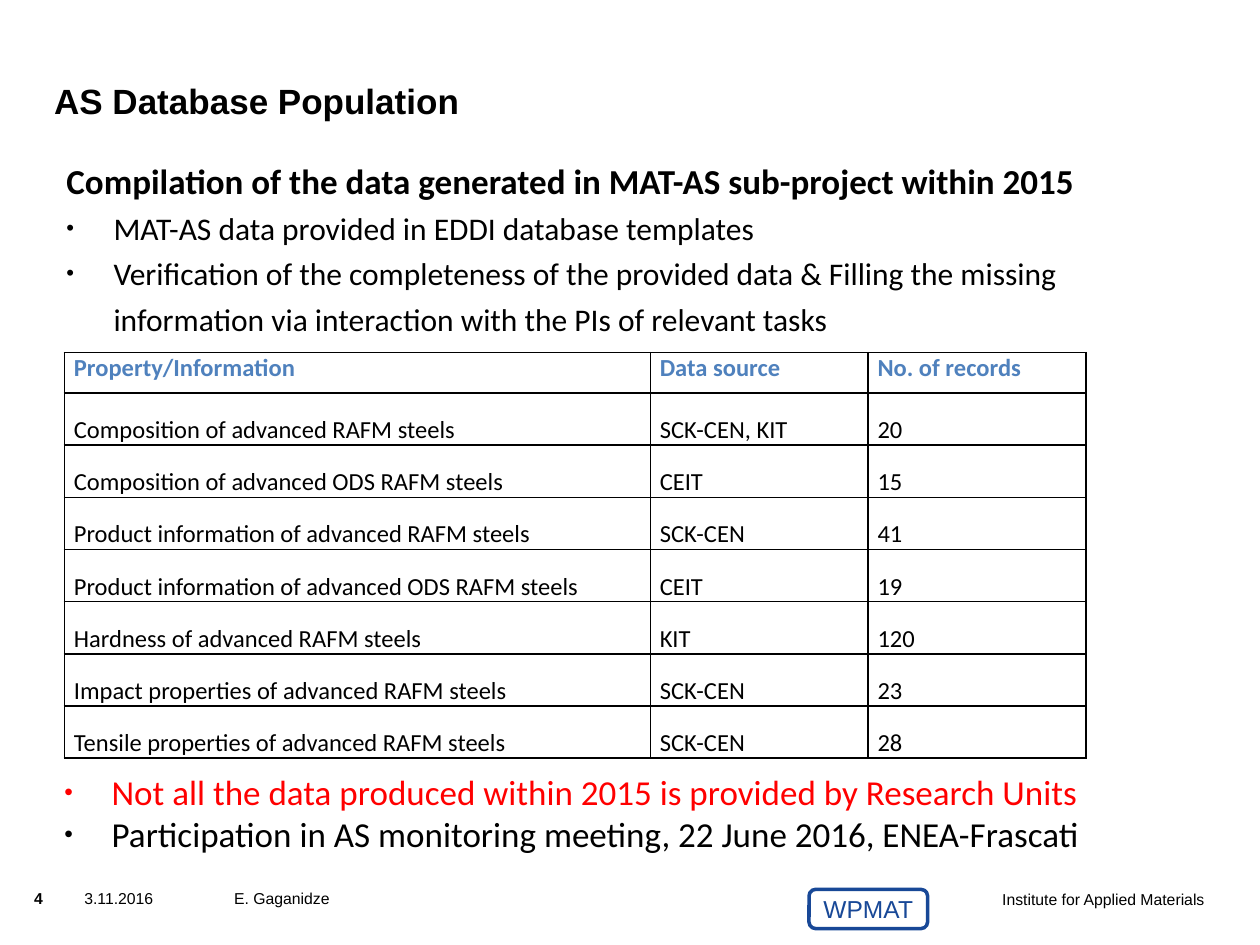
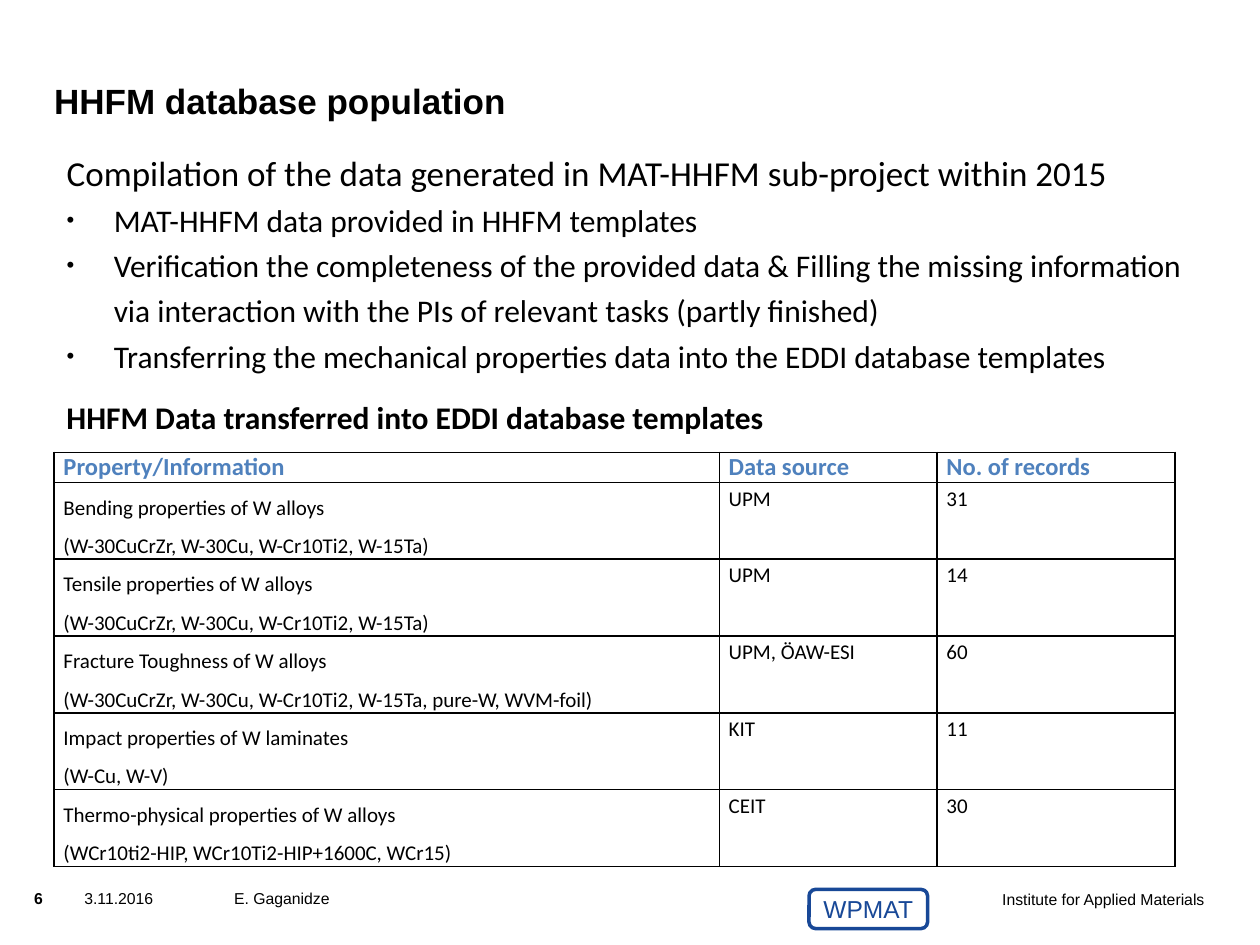
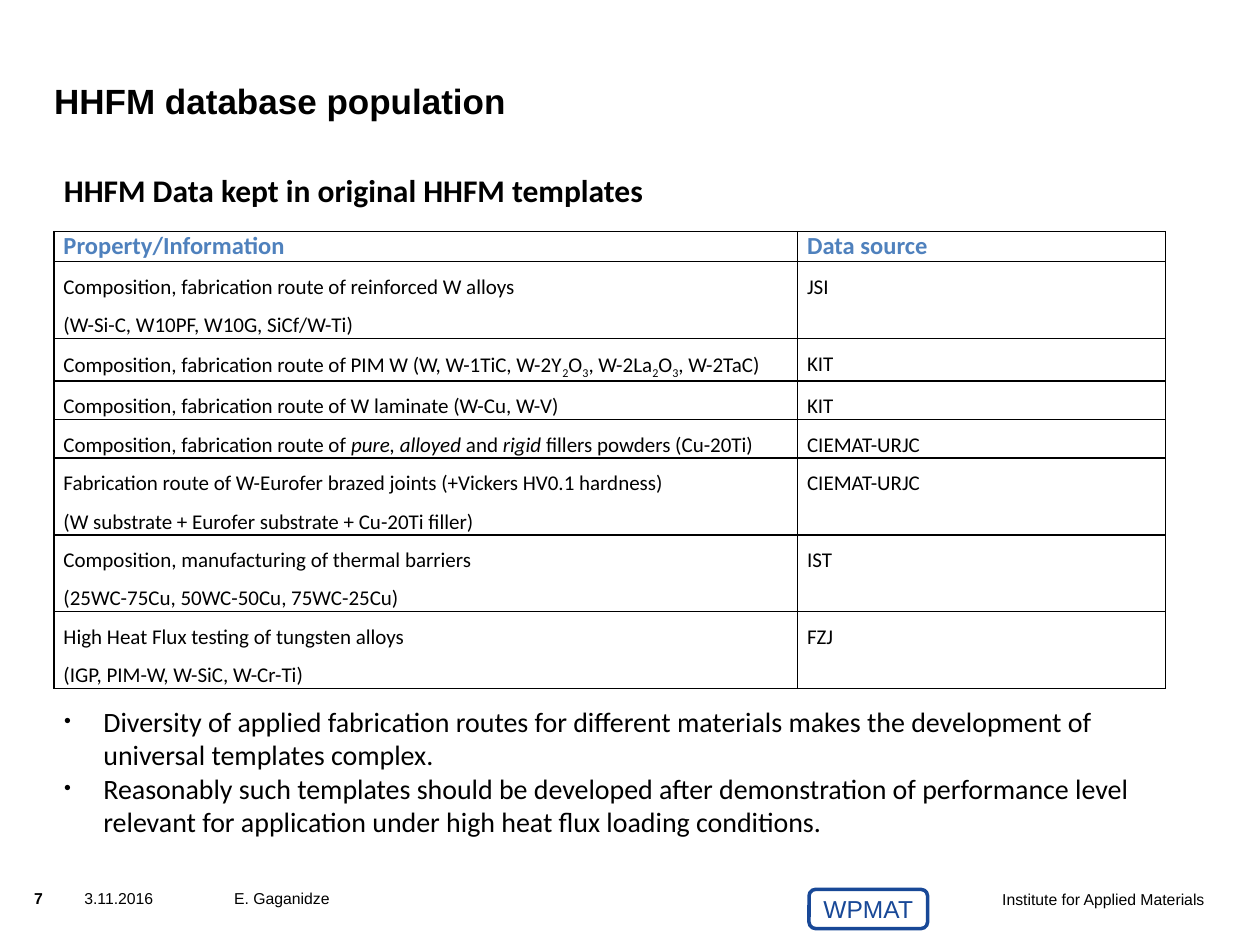
from dataclasses import dataclass
from typing import Optional, Sequence

from lxml import etree
from pptx import Presentation
from pptx.dml.color import RGBColor
from pptx.enum import shapes, text
from pptx.oxml import ns
from pptx.util import Cm, Pt

BLACK = RGBColor(0x00, 0x00, 0x00)
RED = RGBColor(0xFF, 0x00, 0x00)
HEADER_BLUE = RGBColor(0x4F, 0x81, 0xBD)
BADGE_BLUE = RGBColor(0x18, 0x48, 0x97)

HEADING_FONT = "Arial"
BODY_FONT = "Calibri"
LIST_INDENT = 0.95
FOOTER_TOP = 17.91
TITLE_AND_CONTENT = 1


@dataclass(frozen=True)
class Area:
    """A rectangle in centimetres."""
    left: float
    top: float
    width: float
    height: float


@dataclass(frozen=True)
class Line:
    """One paragraph; *stars* mark italics and _underscores_ subscripts."""
    text: str
    size: float
    bold: bool = False
    color: RGBColor = BLACK
    font: str = BODY_FONT
    spacing: float = 1.0
    indent: float = 0  # a hanging indent brings a bullet
    align: text.PP_ALIGN = text.PP_ALIGN.LEFT


@dataclass(frozen=True)
class Grid:
    left: float
    top: float
    columns: Sequence[float]
    header_height: float
    line_height: float
    size: float
    spacings: Sequence[float]  # line spacing of each column
    header: Sequence[str]
    rows: Sequence[Sequence[str]]


@dataclass(frozen=True)
class Page:
    number: int
    title: str
    body_area: Area
    body: Sequence[Line]
    intro_area: Area
    intro: Sequence[Line]
    grid: Grid


TITLE_AREA = Area(1.09, 0.91, 19.2, 1.55)
BADGE_AREA = Area(16.31, 17.93, 2.39, 0.79)
NUMBER_AREA = Area(0.69, FOOTER_TOP, 0.91, 0.61)
FOOTERS = (
    (Area(1.7, FOOTER_TOP, 2.39, 0.99), "3.11.2016", text.PP_ALIGN.LEFT),
    (Area(4.72, FOOTER_TOP, 4.57, 0.99), "E. Gaganidze", text.PP_ALIGN.LEFT),
    (Area(16.69, 17.93, 7.59, 0.99), "Institute for Applied Materials", text.PP_ALIGN.RIGHT),
)


def bullet(content: str, size: float = 18, spacing: float = 1.2,
           indent: float = LIST_INDENT, color: RGBColor = BLACK) -> Line:
    return Line(content, size, spacing=spacing, indent=indent, color=color)


RECORD_HEADER = ("Property/Information", "Data source", "No. of records")
TUNGSTEN_ALLOYS = "W-30CuCrZr, W-30Cu, W-Cr10Ti2, W-15Ta"

PAGES = (
    Page(
        4, "AS Database Population",
        Area(1.3, 15.11, 23.62, 1.4),
        (bullet("Not all the data produced within 2015 is provided by Research Units",
                20, 1.5, color=RED),
         bullet("Participation in AS monitoring meeting, 22 June 2016, ENEA-Frascati", 20, 1.0)),
        Area(1.09, 2.92, 23.01, 4.06),
        (Line("Compilation of the data generated in MAT-AS sub-project within 2015",
              20, bold=True, spacing=1.2),
         bullet("MAT-AS data provided in EDDI database templates"),
         bullet("Verification of the completeness of the provided data & Filling the missing "
                "information via interaction with the PIs of relevant tasks")),
        Grid(1.3, 7.11, (11.81, 4.39, 4.39), 0.81, 0.81, 14, (1.75, 1.75, 1.75), RECORD_HEADER, (
            ("Composition of advanced RAFM steels", "SCK-CEN, KIT", "20"),
            ("Composition of advanced ODS RAFM steels", "CEIT", "15"),
            ("Product information of advanced RAFM steels", "SCK-CEN", "41"),
            ("Product information of advanced ODS RAFM steels", "CEIT", "19"),
            ("Hardness of advanced RAFM steels", "KIT", "120"),
            ("Impact properties of advanced RAFM steels", "SCK-CEN", "23"),
            ("Tensile properties of advanced RAFM steels", "SCK-CEN", "28"),
        )),
    ),
    Page(
        6, "HHFM database population",
        Area(1.09, 2.92, 23.19, 6.5),
        (Line("Compilation of the data generated in MAT-HHFM sub-project within 2015", 20),
         bullet("MAT-HHFM data provided in HHFM templates"),
         bullet("Verification the completeness of the provided data & Filling the missing "
                "information via interaction with the PIs of relevant tasks (partly finished)"),
         bullet("Transferring the mechanical properties data into the EDDI database templates")),
        Area(1.09, 7.9, 16, 1.02),
        (Line("HHFM Data transferred into EDDI database templates", 18, bold=True),),
        Grid(1.09, 9.12, (13.41, 4.39, 4.8), 0.6, 0.77, 12, (1.5, 1.15, 1.15), RECORD_HEADER, (
            (f"Bending properties of W alloys\n({TUNGSTEN_ALLOYS})", "UPM", "31"),
            (f"Tensile properties of W alloys\n({TUNGSTEN_ALLOYS})", "UPM", "14"),
            (f"Fracture Toughness of W alloys\n({TUNGSTEN_ALLOYS}, pure-W, WVM-foil)",
             "UPM, ÖAW-ESI", "60"),
            ("Impact properties of W laminates\n(W-Cu, W-V)", "KIT", "11"),
            ("Thermo-physical properties of W alloys\n(WCr10ti2-HIP, WCr10Ti2-HIP+1600C, WCr15)",
             "CEIT", "30"),
        )),
    ),
    Page(
        7, "HHFM database population",
        Area(1.04, 14.07, 22.48, 3),
        (bullet("Diversity of applied fabrication routes for different materials makes the "
                "development of universal templates complex.", 16, 1.0, 0.79),
         bullet("Reasonably such templates should be developed after demonstration of performance "
                "level relevant for application under high heat flux loading conditions.",
                16, 1.0, 0.79)),
        Area(1.04, 3.33, 16, 1.02),
        (Line("HHFM Data kept in original HHFM templates", 18, bold=True),),
        Grid(1.09, 4.67, (14.99, 7.42), 0.6, 0.77, 12, (1.5, 1.5), RECORD_HEADER[:2], (
            ("Composition, fabrication route of reinforced W alloys\n"
             "(W-Si-C, W10PF, W10G, SiCf/W-Ti)", "JSI"),
            ("Composition, fabrication route of PIM W "
             "(W, W-1TiC, W-2Y_2_O_3_, W-2La_2_O_3_, W-2TaC)", "KIT"),
            ("Composition, fabrication route of W laminate (W-Cu, W-V)", "KIT"),
            ("Composition, fabrication route of *pure, alloyed* and *rigid* "
             "fillers powders (Cu-20Ti)", "CIEMAT-URJC"),
            ("Fabrication route of W-Eurofer brazed joints (+Vickers HV0.1 hardness)\n"
             "(W substrate + Eurofer substrate + Cu-20Ti filler)", "CIEMAT-URJC"),
            ("Composition, manufacturing of thermal barriers\n"
             "(25WC-75Cu, 50WC-50Cu, 75WC-25Cu)", "IST"),
            ("High Heat Flux testing of tungsten alloys\n(IGP, PIM-W, W-SiC, W-Cr-Ti)", "FZJ"),
        )),
    ),
)


def place(shape, area: Area) -> None:
    shape.left, shape.top = Cm(area.left), Cm(area.top)
    shape.width, shape.height = Cm(area.width), Cm(area.height)


def add_span(para, content: str, *, font: str, size: float, color: RGBColor,
             bold: bool = False, italic: bool = False, subscript: bool = False) -> None:
    span = para.add_run()
    span.text = content
    span.font.name, span.font.size = font, Pt(size)
    span.font.bold, span.font.italic = bold, italic
    span.font.color.rgb = color
    if subscript:
        span._r.get_or_add_rPr().set("baseline", "-25000")


def set_bullet(para, indent: float) -> None:
    properties = para._p.get_or_add_pPr()
    properties.set("marL", str(Cm(indent)))
    properties.set("indent", str(-Cm(indent)))
    if indent:
        etree.SubElement(properties, ns.qn("a:buSzPct"), val="70000")
        etree.SubElement(properties, ns.qn("a:buFont"), typeface=HEADING_FONT)
        etree.SubElement(properties, ns.qn("a:buChar"), char="•")
    else:
        etree.SubElement(properties, ns.qn("a:buNone"))


def write_lines(frame, lines: Sequence[Line]) -> None:
    for index, line in enumerate(lines):
        para = frame.add_paragraph() if index else frame.paragraphs[0]
        para.alignment, para.line_spacing = line.align, line.spacing
        para.space_before = Pt(0)
        set_bullet(para, line.indent)
        for i, piece in enumerate(line.text.split("*")):
            for j, part in enumerate(piece.split("_")):
                if part:
                    add_span(para, part, font=line.font, size=line.size, color=line.color,
                             bold=line.bold, italic=i % 2 == 1, subscript=j % 2 == 1)


def fill_frame(shape, area: Area, lines: Sequence[Line], *, margin: Optional[float] = None,
               anchor: text.MSO_ANCHOR = text.MSO_ANCHOR.TOP) -> None:
    place(shape, area)
    frame = shape.text_frame
    frame.word_wrap, frame.auto_size = True, text.MSO_AUTO_SIZE.NONE
    frame.vertical_anchor = anchor
    if margin is not None:
        frame.margin_left = frame.margin_right = Cm(margin)
        frame.margin_top = frame.margin_bottom = Cm(margin)
    write_lines(frame, lines)


def add_text(slide, area: Area, lines: Sequence[Line], margin: Optional[float] = None) -> None:
    fill_frame(slide.shapes.add_textbox(0, 0, 0, 0), area, lines, margin=margin)


def add_borders(cell) -> None:
    properties = cell._tc.get_or_add_tcPr()
    for index, side in enumerate(("lnL", "lnR", "lnT", "lnB")):
        border = etree.Element(ns.qn(f"a:{side}"), w=str(Pt(1)))
        fill = etree.SubElement(border, ns.qn("a:solidFill"))
        etree.SubElement(fill, ns.qn("a:srgbClr"), val=str(BLACK))
        properties.insert(index, border)


def fill_cell(cell, lines: Sequence[Line]) -> None:
    cell.margin_left = cell.margin_right = Cm(0.19)
    cell.margin_top = cell.margin_bottom = 0
    cell.fill.background()
    add_borders(cell)
    write_lines(cell.text_frame, lines)


def add_grid(slide, grid: Grid) -> None:
    heights = [grid.header_height] + [
        grid.line_height * (row[0].count("\n") + 1) for row in grid.rows]
    table = slide.shapes.add_table(
        len(heights), len(grid.columns), Cm(grid.left), Cm(grid.top),
        Cm(sum(grid.columns)), Cm(sum(heights))).table
    table.first_row = table.horz_banding = False
    for column, width in zip(table.columns, grid.columns):
        column.width = Cm(width)
    for row, height in zip(table.rows, heights):
        row.height = Cm(height)
    for c, label in enumerate(grid.header):
        fill_cell(table.cell(0, c), [Line(label, 14, bold=True, color=HEADER_BLUE)])
    for r, values in enumerate(grid.rows, start=1):
        for c, (value, spacing) in enumerate(zip(values, grid.spacings)):
            fill_cell(table.cell(r, c), [
                Line(part, grid.size, spacing=spacing) for part in value.split("\n")])


def add_footer(slide, number: int) -> None:
    add_text(slide, NUMBER_AREA, [Line(str(number), 9, bold=True, font=HEADING_FONT)], margin=0)
    for area, label, align in FOOTERS:
        add_text(slide, area, [Line(label, 9, font=HEADING_FONT, align=align)], margin=0)
    badge = slide.shapes.add_shape(shapes.MSO_SHAPE.ROUNDED_RECTANGLE, 0, 0, 0, 0)
    badge.shadow.inherit = False
    badge.fill.background()
    badge.line.color.rgb, badge.line.width = BADGE_BLUE, Pt(2)
    label = Line("WPMAT", 14, color=BADGE_BLUE, font=HEADING_FONT, align=text.PP_ALIGN.CENTER)
    fill_frame(badge, BADGE_AREA, [label], margin=0, anchor=text.MSO_ANCHOR.MIDDLE)


def add_page(deck, page: Page) -> None:
    slide = deck.slides.add_slide(deck.slide_layouts[TITLE_AND_CONTENT])
    add_footer(slide, page.number)
    fill_frame(slide.shapes.title, TITLE_AREA,
               [Line(page.title, 20, bold=True, font=HEADING_FONT)],
               margin=0, anchor=text.MSO_ANCHOR.BOTTOM)
    body_margin = 0 if page.number == 4 else None
    fill_frame(slide.placeholders[1], page.body_area, page.body, margin=body_margin)
    add_text(slide, page.intro_area, page.intro)
    add_grid(slide, page.grid)


def main() -> None:
    deck = Presentation()
    deck.slide_width, deck.slide_height = Cm(25.4), Cm(19.05)
    for page in PAGES:
        add_page(deck, page)
    deck.save("out.pptx")


if __name__ == "__main__":
    main()
